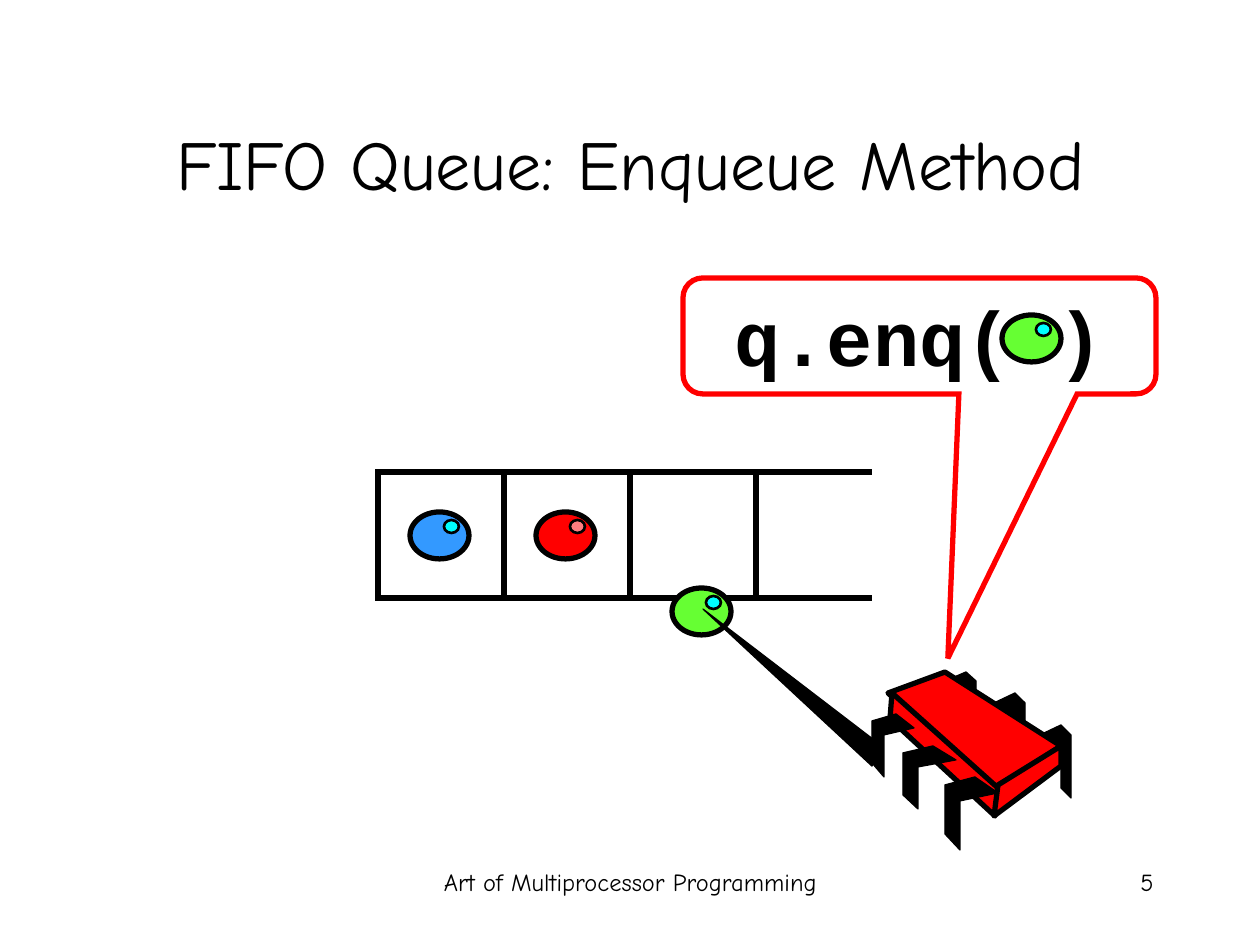
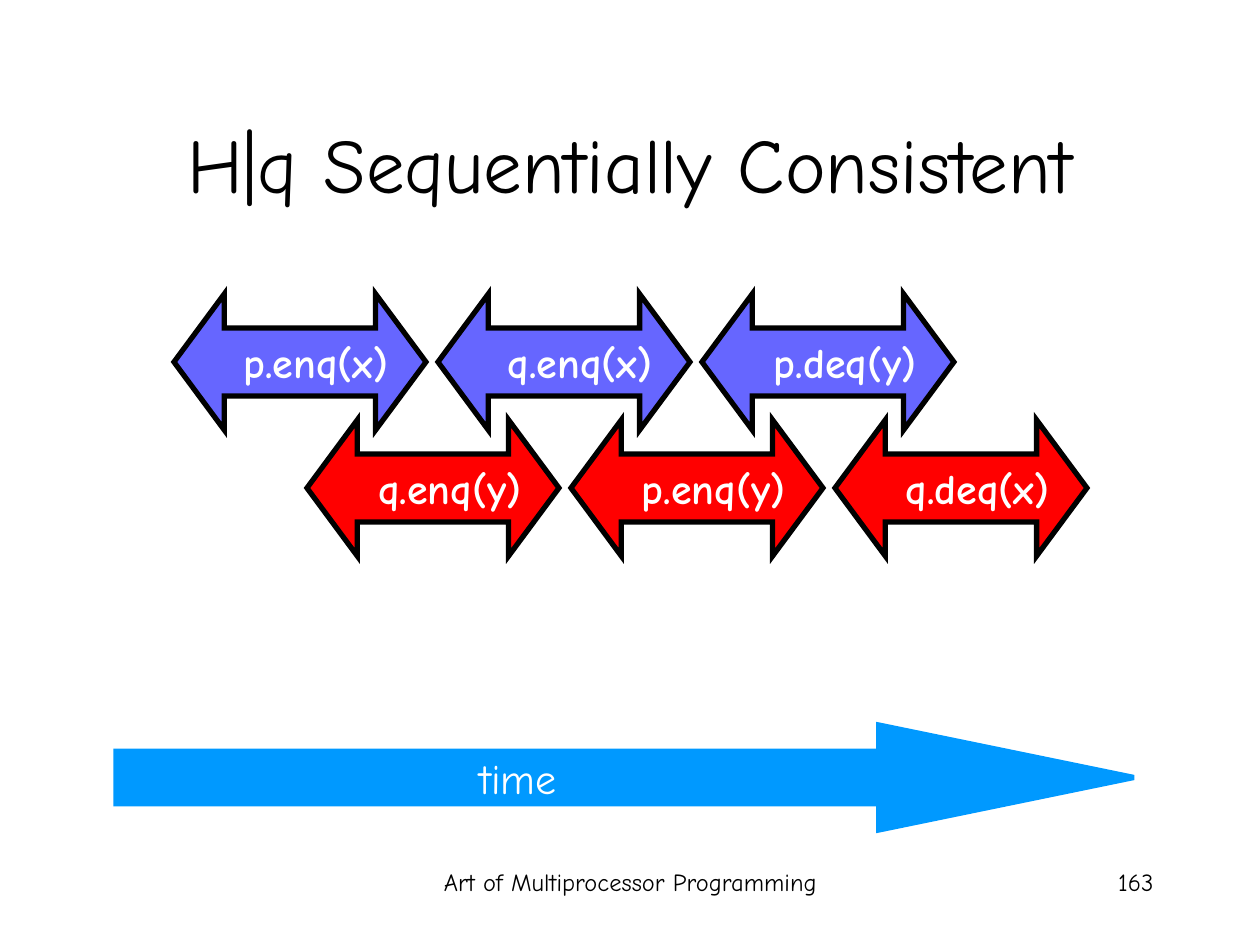
import pptx
import pptx.dml.color
import pptx.enum.shapes
import pptx.enum.text
import pptx.oxml.ns
import pptx.util
from lxml import etree

SCALE = 914400 / 126
SHAPE = pptx.enum.shapes.MSO_SHAPE
ALIGN = pptx.enum.text.PP_ALIGN
ANCHOR = pptx.enum.text.MSO_ANCHOR
COLORS = {
    "black": "000000", "white": "FFFFFF", "red": "FF0000", "blue": "3399FF",
    "green": "66FF33", "cyan": "00FFFF", "pink": "FF7C80",
    "violet": "6666FF", "sky": "0099FF",
}
FONT = "Comic Neue"
CODE_FONT = "Courier New"

FOOTER = "Art of Multiprocessor Programming"
FOOTER_BOX = (431, 861, 399, 63)
NUMBER_BOX = (903, 861, 263, 63)
TITLE_BOX = (95, 84, 1071, 158)

ENQUEUE = {"title": "FIFO Queue: Enqueue Method", "size": 40, "number": "5"}
CELL, CELL_COUNT = 126, 3
QUEUE_LEFT, QUEUE_TOP = 378, 472
RAIL_LEFT = 746
BALL_SIZE, SHINE_SIZE, SHINE_OFFSET = (59, 47), (15, 13), (34, 8)
QUEUED_BALLS = [
    (410, 512, "blue", "cyan"),
    (536, 512, "red", "pink"),
    (672, 588, "green", "cyan"),
]
CALL = "q.enq( )"
CALL_BOX = (683, 278, 473, 116)
CALL_BALL = (1002, 315, "green", "cyan")
REAR_LEG = [(0, 1), (2, 0), (3, 1), (3, 7), (2, 6), (2, 2), (0, 3)]
REAR_LEG_BOXES = [(1040, 725, 31, 73), (994, 693, 31, 73), (945, 672, 31, 63)]
FRONT_LEG = [(4, 0), (7, 2), (2, 3), (2, 9), (0, 7), (0, 1)]
FRONT_LEG_BOXES = [(945, 777, 53, 73), (903, 746, 53, 63), (872, 714, 42, 63)]
CHIP_FACES = [
    [(945, 672), (1061, 746), (995, 789), (888, 693)],
    [(892, 693), (998, 788), (995, 816), (890, 719)],
    [(1061, 746), (1061, 766), (994, 816), (998, 785)],
]
ARM = [(872, 766), (882, 746), (703, 609)]

HISTORY = {"title": "H|q Sequentially Consistent", "size": 44, "number": "163"}
CALL_ROWS = [
    (174, 294, "violet", ["p.enq(x)", "q.enq(x)", "p.deq(y)"]),
    (307, 420, "red", ["q.enq(y)", "p.enq(y)", "q.deq(x)"]),
]
CALL_STEP, CALL_WIDTH, CALL_HEIGHT = 264, 252, 136
TIME_ARROW = (116, 725, 1018, 105)
TIME_LABEL = (467, 746, 102, 63)


def emu(*lengths):
    return [pptx.util.Emu(round(length * SCALE)) for length in lengths]


def color(name):
    return pptx.dml.color.RGBColor.from_string(COLORS[name])


def style(shape, fill, line="black", width=3, join="miter"):
    shape.shadow.inherit = False
    if fill:
        shape.fill.solid()
        shape.fill.fore_color.rgb = color(fill)
    else:
        shape.fill.background()
    shape.line.color.rgb = color(line)
    shape.line.width = pptx.util.Pt(width)
    outline = shape.line._get_or_add_ln()
    etree.SubElement(outline, pptx.oxml.ns.qn("a:" + join))


def write(shape, text, size, align, name="black", font=FONT, bold=False,
          wrap=True, anchor=ANCHOR.MIDDLE):
    frame = shape.text_frame
    frame.text = text
    frame.word_wrap = wrap
    frame.auto_size = pptx.enum.text.MSO_AUTO_SIZE.NONE
    frame.vertical_anchor = anchor
    paragraph = frame.paragraphs[0]
    paragraph.alignment = align
    run = paragraph.runs[0]
    run.font.name = font
    run.font.size = pptx.util.Pt(size)
    run.font.bold = bold
    run.font.color.rgb = color(name)


def add_text(slide, box, *args, **options):
    shape = slide.shapes.add_textbox(*emu(*box))
    write(shape, *args, anchor=ANCHOR.TOP, **options)


def add_preset(shapes, kind, box, fill, adjustments=(), **options):
    shape = shapes.add_shape(kind, *emu(*box))
    for index, value in enumerate(adjustments):
        shape.adjustments[index] = value
    style(shape, fill, **options)
    return shape


def add_outline(shapes, points, fill, width):
    builder = shapes.build_freeform(*points[0], scale=SCALE)
    builder.add_line_segments(points[1:], close=True)
    style(builder.convert_to_shape(), fill, width=width, join="round")


def add_legs(shapes, grid, boxes):
    columns = max(x for x, y in grid)
    rows = max(y for x, y in grid)
    for left, top, width, height in boxes:
        points = [(round(left + width * x / columns), round(top + height * y / rows))
                  for x, y in grid]
        add_outline(shapes, points, "black", 0.75)


def add_ball(slide, left, top, fill, shine):
    shapes = slide.shapes.add_group_shape().shapes
    add_preset(shapes, SHAPE.OVAL, (left, top, *BALL_SIZE), fill)
    shine_left, shine_top = left + SHINE_OFFSET[0], top + SHINE_OFFSET[1]
    add_preset(shapes, SHAPE.OVAL, (shine_left, shine_top, *SHINE_SIZE), shine, width=1.5)


def add_rail(slide, top):
    rail = slide.shapes.add_connector(
        pptx.enum.shapes.MSO_CONNECTOR.STRAIGHT, *emu(RAIL_LEFT, top, RAIL_LEFT + CELL, top))
    rail.line.color.rgb = color("black")
    rail.line.width = pptx.util.Pt(3)
    etree.SubElement(rail._element.spPr, pptx.oxml.ns.qn("a:effectLst"))


def add_slide(presentation, content):
    slide = presentation.slides.add_slide(presentation.slide_layouts[5])
    title = slide.shapes.title
    title.left, title.top, title.width, title.height = emu(*TITLE_BOX)
    write(title, content["title"], content["size"], ALIGN.CENTER)
    add_text(slide, FOOTER_BOX, FOOTER, 14, ALIGN.CENTER)
    add_text(slide, NUMBER_BOX, content["number"], 14, ALIGN.RIGHT)
    return slide


def build_enqueue(presentation):
    slide = add_slide(presentation, ENQUEUE)
    for index in range(CELL_COUNT):
        box = (QUEUE_LEFT + index * CELL, QUEUE_TOP, CELL, CELL)
        add_preset(slide.shapes, SHAPE.RECTANGLE, box, None)
    for top in (QUEUE_TOP, QUEUE_TOP + CELL):
        add_rail(slide, top)
    for ball in QUEUED_BALLS:
        add_ball(slide, *ball)

    chip = slide.shapes.add_group_shape().shapes
    add_legs(chip, REAR_LEG, REAR_LEG_BOXES)
    for face in CHIP_FACES:
        add_outline(chip, face, "red", 3)
    add_legs(chip, FRONT_LEG, FRONT_LEG_BOXES)
    add_outline(slide.shapes, ARM, "black", 0.75)

    callout = add_preset(slide.shapes, SHAPE.ROUNDED_RECTANGULAR_CALLOUT, CALL_BOX,
                         None, (0.06, 2.78, 0.17), line="red")
    write(callout, CALL, 44, ALIGN.CENTER, font=CODE_FONT, bold=True)
    add_ball(slide, *CALL_BALL)


def build_history(presentation):
    slide = add_slide(presentation, HISTORY)
    for left, top, fill, calls in CALL_ROWS:
        for index, call in enumerate(calls):
            box = (left + index * CALL_STEP, top, CALL_WIDTH, CALL_HEIGHT)
            arrow = add_preset(slide.shapes, SHAPE.LEFT_RIGHT_ARROW, box, fill, (0.5, 0.37))
            write(arrow, call, 24, ALIGN.RIGHT, "white", bold=True, wrap=False)
    add_preset(slide.shapes, SHAPE.RIGHT_ARROW, TIME_ARROW, "sky", (0.5, 2.43), line="sky")
    add_text(slide, TIME_LABEL, "time", 24, ALIGN.RIGHT, "white", wrap=False)


def main():
    presentation = pptx.Presentation()
    presentation.slide_width, presentation.slide_height = emu(1260, 945)
    build_enqueue(presentation)
    build_history(presentation)
    presentation.save("out.pptx")


if __name__ == "__main__":
    main()
